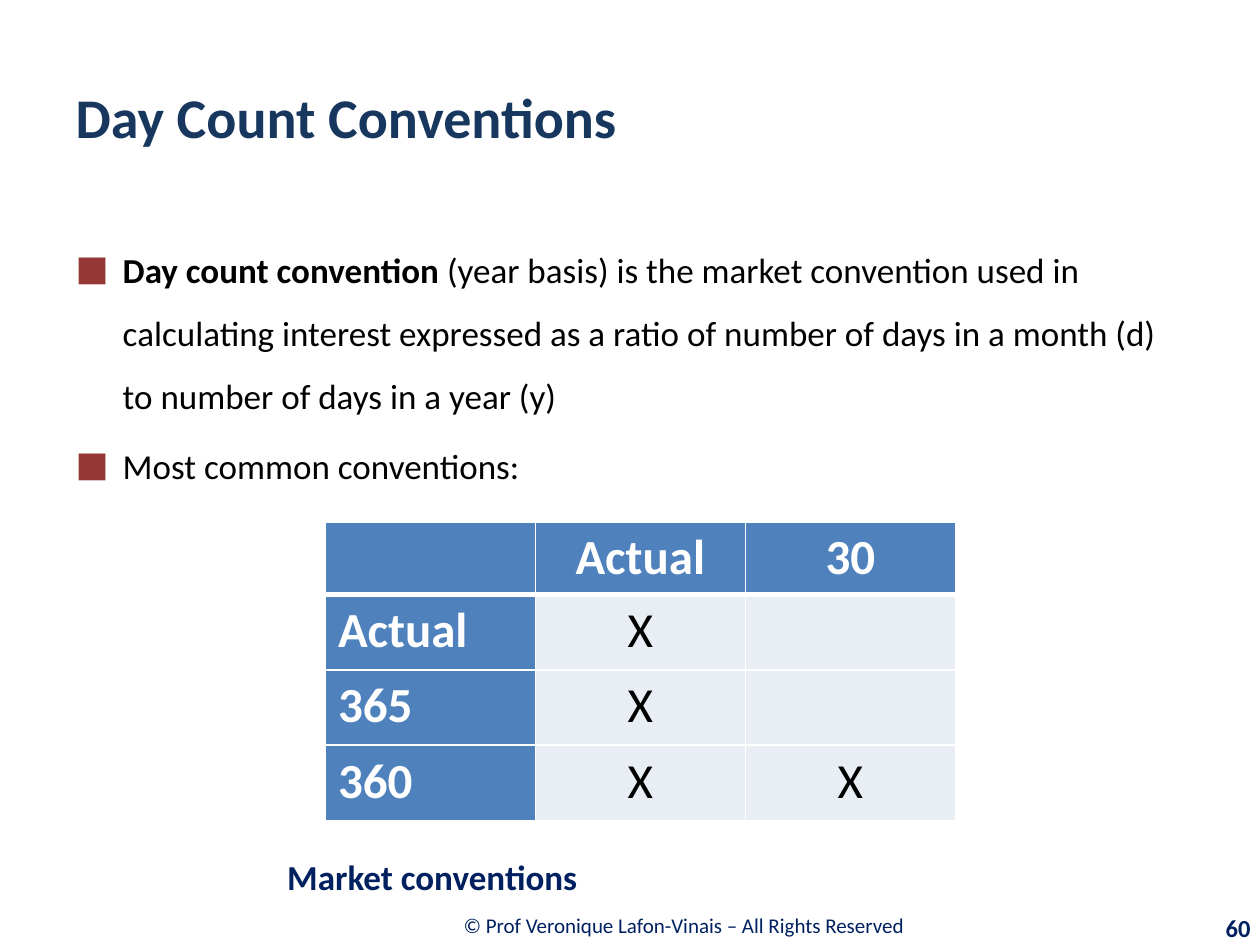
"""Builds the Day Count Conventions slide."""
import lxml.etree
import pptx
import pptx.dml.color
import pptx.enum.text
import pptx.oxml.ns
import pptx.util

Cm, Pt = pptx.util.Cm, pptx.util.Pt
ALIGN = pptx.enum.text.PP_ALIGN
MIDDLE = pptx.enum.text.MSO_ANCHOR.MIDDLE
qn = pptx.oxml.ns.qn


def rgb(value):
    """Return a colour from a hex string."""
    return pptx.dml.color.RGBColor.from_string(value)


def sub(parent, tag, **attrs):
    """Append a DrawingML element."""
    return lxml.etree.SubElement(parent, qn(tag), attrs)


class Deck:
    """Holds the style and the current slide."""

    font = "Calibri"
    navy, title_blue, red = "002060", "17375E", "953735"
    black, white = "000000", "FFFFFF"
    header, band = "4F81BD", "E9EDF4"

    def __init__(self):
        """Open a 4:3 presentation with one slide."""
        self.prs = pptx.Presentation()
        self.prs.slide_width, self.prs.slide_height = Cm(25.4), Cm(19.05)
        self.s = self.prs.slides.add_slide(self.prs.slide_layouts[1])

    def run(self, p, text, size, color, bold=False):
        """Add one formatted run."""
        r = p.add_run()
        r.text = text
        r.font.name, r.font.size, r.font.bold = self.font, Pt(size), bold
        r.font.color.rgb = rgb(color)

    def place(self, sp, box):
        """Move a shape and fix its text frame."""
        sp.left, sp.top, sp.width, sp.height = map(Cm, box)
        tf = sp.text_frame
        tf.word_wrap = True
        tf.auto_size = pptx.enum.text.MSO_AUTO_SIZE.NONE
        return tf

    def title(self, text, box):
        """Fill the title placeholder."""
        tf = self.place(self.s.shapes.title, box)
        tf.vertical_anchor = MIDDLE
        p = tf.paragraphs[0]
        p.alignment = ALIGN.LEFT
        self.run(p, text, 32, self.title_blue, True)

    def bullets(self, items, box):
        """Fill the body placeholder with items made of (text, bold) runs."""
        tf = self.place(self.s.placeholders[1], box)
        for i, item in enumerate(items):
            p = tf.add_paragraph() if i else tf.paragraphs[0]
            p.line_spacing, p.space_before = 1.5, Pt(4)
            pPr = p._p.get_or_add_pPr()
            pPr.set("marL", str(Cm(0.95)))
            pPr.set("indent", str(-Cm(0.95)))
            sub(sub(pPr, "a:buClr"), "a:srgbClr", val=self.red)
            sub(pPr, "a:buFont", typeface=self.font)
            sub(pPr, "a:buChar", char="■")
            for text, bold in item:
                self.run(p, text, 20, self.black, bold)

    def text(self, text, box, size, align=ALIGN.LEFT, bold=False):
        """Add a one-line text box."""
        tf = self.place(self.s.shapes.add_textbox(0, 0, 0, 0), box)
        tf.vertical_anchor = MIDDLE
        p = tf.paragraphs[0]
        p.alignment = align
        self.run(p, text, size, self.navy, bold)

    def borders(self, cell, widths):
        """Draw white cell borders from widths in points, by side."""
        tcPr = cell._tc.get_or_add_tcPr()
        for i, (side, width) in enumerate(widths.items()):
            ln = lxml.etree.Element(qn(f"a:ln{side}"), w=str(Pt(width)))
            sub(sub(ln, "a:solidFill"), "a:srgbClr", val=self.white)
            tcPr.insert(i, ln)

    def table(self, rows, box, heights):
        """Add a table with a header row and a header column."""
        shape = self.s.shapes.add_table(len(rows), len(rows[0]), *map(Cm, box))
        for i, row in enumerate(rows):
            shape.table.rows[i].height = Cm(heights[i])
            for j, text in enumerate(row):
                cell = shape.table.cell(i, j)
                head = i == 0 or j == 0
                cell.fill.solid()
                cell.fill.fore_color.rgb = rgb(self.header if head else self.band)
                self.borders(cell, {"L": 1, "R": 1, "T": 3 if i == 1 else 1,
                                    "B": 3 if i == 0 else 1})
                if text:
                    p = cell.text_frame.paragraphs[0]
                    p.alignment = ALIGN.CENTER if j else ALIGN.LEFT
                    self.run(p, text, 28, self.white if head else self.black, head)


def main():
    """Build and save the slide."""
    deck = Deck()
    deck.title("Day Count Conventions", (1.27, 0.76, 22.86, 3.18))
    deck.bullets([
        [("Day count convention ", True),
         ("(year basis) is the market convention used in calculating interest "
          "expressed as a ratio of number of days in a month (d) to number of "
          "days in a year (y)", False)],
        [("Most common conventions:", False)],
    ], (1.27, 4.45, 22.86, 12.57))
    deck.table([
        ["", "Actual", "30"],
        ["Actual", "X", ""],
        ["365", "X", ""],
        ["360", "X", "X"],
    ], (6.56, 10.52, 12.7, 6.01), [1.45, 1.52, 1.52, 1.52])
    deck.text("Market conventions", (5.54, 17.07, 19.86, 1.19), 20, bold=True)
    deck.text("© Prof Veronique Lafon-Vinais – All Rights Reserved",
              (5.56, 18.16, 16.46, 0.99), 12, ALIGN.CENTER)
    deck.text("60", (22.89, 18.29, 2.57, 0.81), 14, ALIGN.RIGHT, True)
    deck.prs.save("out.pptx")


if __name__ == "__main__":
    main()
